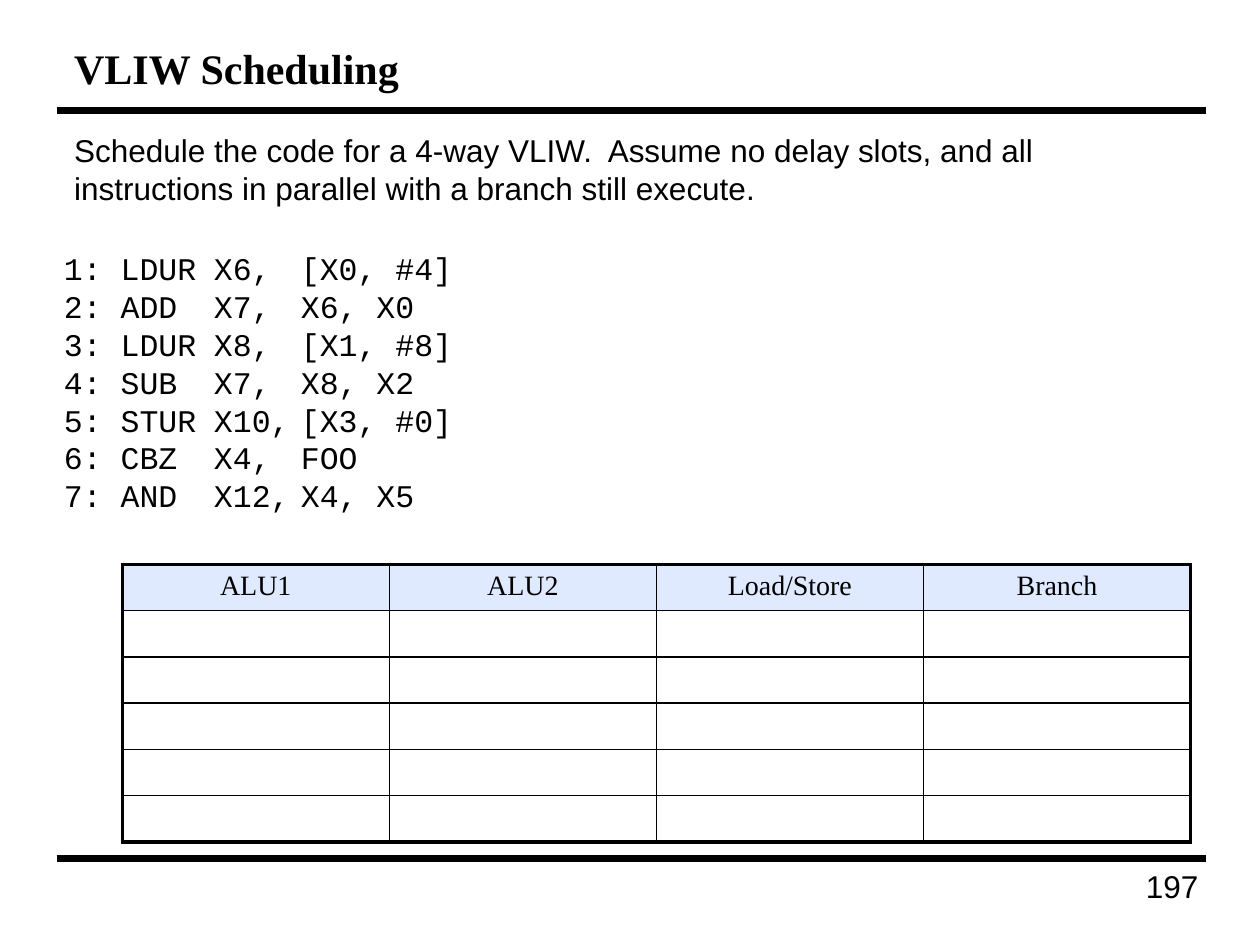
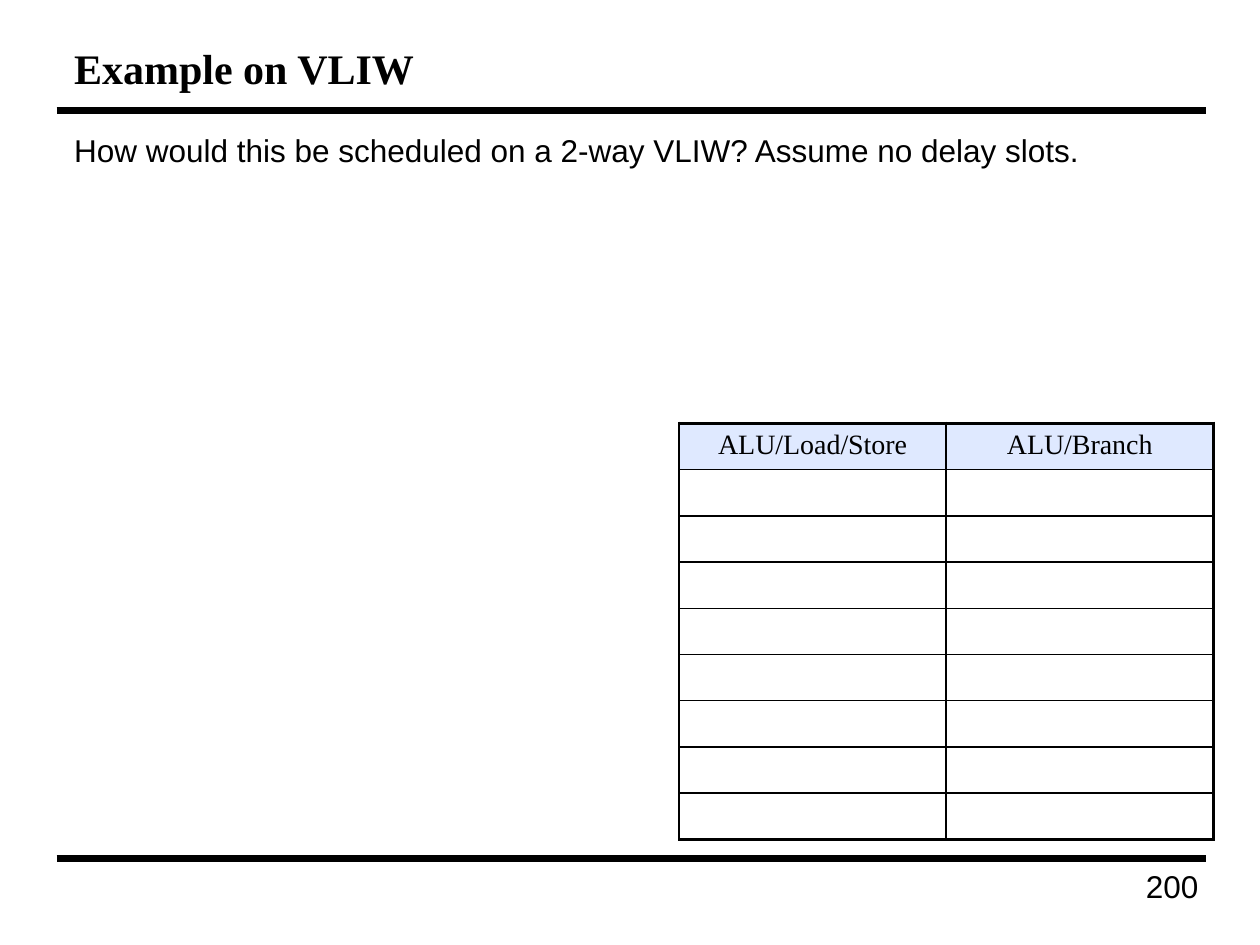
from lxml.etree import SubElement
from pptx import Presentation
from pptx.dml.color import RGBColor
from pptx.enum.shapes import MSO_CONNECTOR
from pptx.enum.text import MSO_ANCHOR, PP_ALIGN
from pptx.oxml.ns import qn
from pptx.util import Inches, Pt

BLACK = "000000"
HEADER_FILL = "DFE9FF"
TITLE_FONT, BODY_FONT, CODE_FONT = "Times New Roman", "Arial", "Courier New"
RULE_LEFT, RULE_RIGHT = 0.45, 9.57
RULE_TOPS = (0.88, 6.81)
COLUMN_WIDTH = 2.12
THIN, THICK = 1, 2.25
CODE_TABS = (1.19, 1.88)

SLIDES = [
    {
        "title": "VLIW Scheduling",
        "question": "Schedule the code for a 4-way VLIW.  Assume no delay slots, "
                    "and all instructions in parallel with a branch still execute.",
        "number": "197",
        "code": [
            "1: LDUR\tX6,\t[X0, #4]",
            "2: ADD\tX7,\tX6, X0",
            "3: LDUR\tX8,\t[X1, #8]",
            "4: SUB\tX7,\tX8, X2",
            "5: STUR\tX10,\t[X3, #0]",
            "6: CBZ\tX4,\tFOO",
            "7: AND\tX12,\tX4, X5",
        ],
        "schedule": {
            "units": ["ALU1", "ALU2", "Load/Store", "Branch"],
            "empty_rows": 5, "left": 0.97, "top": 4.48, "height": 2.2,
            "left_border": THICK,
        },
    },
    {
        "title": "Example on VLIW",
        "question": "How would this be scheduled on a 2-way VLIW? Assume no delay slots.",
        "number": "200",
        "code": [],
        "schedule": {
            "units": ["ALU/Load/Store", "ALU/Branch"],
            "empty_rows": 8, "left": 5.39, "top": 3.36, "height": 3.3,
            "left_border": THIN,
        },
    },
]


def color(hex_string):
    return RGBColor.from_string(hex_string)


def add_run(paragraph, text, font_name, size, bold=False):
    run = paragraph.add_run()
    run.text = text
    run.font.name = font_name
    run.font.size = Pt(size)
    run.font.bold = bold
    run.font.color.rgb = color(BLACK)


def add_text(slide, box, lines, font_name, size, bold=False, wrap=True,
             align=PP_ALIGN.LEFT, anchor=MSO_ANCHOR.TOP, tabs=()):
    frame = slide.shapes.add_textbox(*map(Inches, box)).text_frame
    frame.word_wrap = wrap
    frame.vertical_anchor = anchor
    for index, line in enumerate(lines):
        paragraph = frame.add_paragraph() if index else frame.paragraphs[0]
        paragraph.alignment = align
        if tabs:
            add_tab_stops(paragraph, tabs)
        add_run(paragraph, line, font_name, size, bold)


def add_tab_stops(paragraph, tabs):
    tab_list = SubElement(paragraph._p.get_or_add_pPr(), qn("a:tabLst"))
    for position in tabs:
        SubElement(tab_list, qn("a:tab"), pos=str(Inches(position)), algn="l")


def add_rule(slide, top):
    rule = slide.shapes.add_connector(
        MSO_CONNECTOR.STRAIGHT,
        Inches(RULE_LEFT), Inches(top), Inches(RULE_RIGHT), Inches(top))
    rule.line.color.rgb = color(BLACK)
    rule.line.width = Pt(4)
    SubElement(rule._element.spPr, qn("a:effectLst"))


def set_borders(cell, widths):
    """Draw the cell's left, right, top and bottom borders."""
    properties = cell._tc.get_or_add_tcPr()
    for side, width in zip("LRTB", widths):
        line = SubElement(properties, qn(f"a:ln{side}"), w=str(Pt(width)))
        fill = SubElement(line, qn("a:solidFill"))
        SubElement(fill, qn("a:srgbClr"), val=BLACK)


def add_schedule(slide, units, empty_rows, left, top, height, left_border):
    row_count, column_count = empty_rows + 1, len(units)
    table = slide.shapes.add_table(
        row_count, column_count, Inches(left), Inches(top),
        Inches(COLUMN_WIDTH * column_count), Inches(height)).table
    for row in range(row_count):
        for column, unit in enumerate(units):
            cell = table.cell(row, column)
            set_borders(cell, (
                left_border if column == 0 else THIN,
                THICK if column == column_count - 1 else THIN,
                THICK if row == 0 else THIN,
                THICK if row == row_count - 1 else THIN,
            ))
            paragraph = cell.text_frame.paragraphs[0]
            paragraph.alignment = PP_ALIGN.CENTER
            if row == 0:
                cell.fill.solid()
                cell.fill.fore_color.rgb = color(HEADER_FILL)
                add_run(paragraph, unit, TITLE_FONT, 16)
            else:
                cell.fill.background()
                SubElement(paragraph._p, qn("a:endParaRPr"), sz="1600")


def add_slide(presentation, content):
    slide = presentation.slides.add_slide(presentation.slide_layouts[6])
    for top in RULE_TOPS:
        add_rule(slide, top)
    add_text(slide, (0.49, 0.25, 9.04, 0.58), [content["title"]], TITLE_FONT, 24,
             bold=True, anchor=MSO_ANCHOR.MIDDLE)
    add_text(slide, (0.49, 0.99, 9.04, 5.76), [content["question"]], BODY_FONT, 18)
    add_text(slide, (7.56, 6.83, 2.05, 0.49), [content["number"]], BODY_FONT, 18,
             align=PP_ALIGN.RIGHT)
    add_schedule(slide, **content["schedule"])
    if content["code"]:
        add_text(slide, (0.41, 1.93, 3.36, 2.22), content["code"], CODE_FONT, 18,
                 wrap=False, tabs=CODE_TABS)


def main():
    presentation = Presentation()
    presentation.slide_width = Inches(10)
    presentation.slide_height = Inches(7.5)
    for content in SLIDES:
        add_slide(presentation, content)
    presentation.save("out.pptx")


if __name__ == "__main__":
    main()
